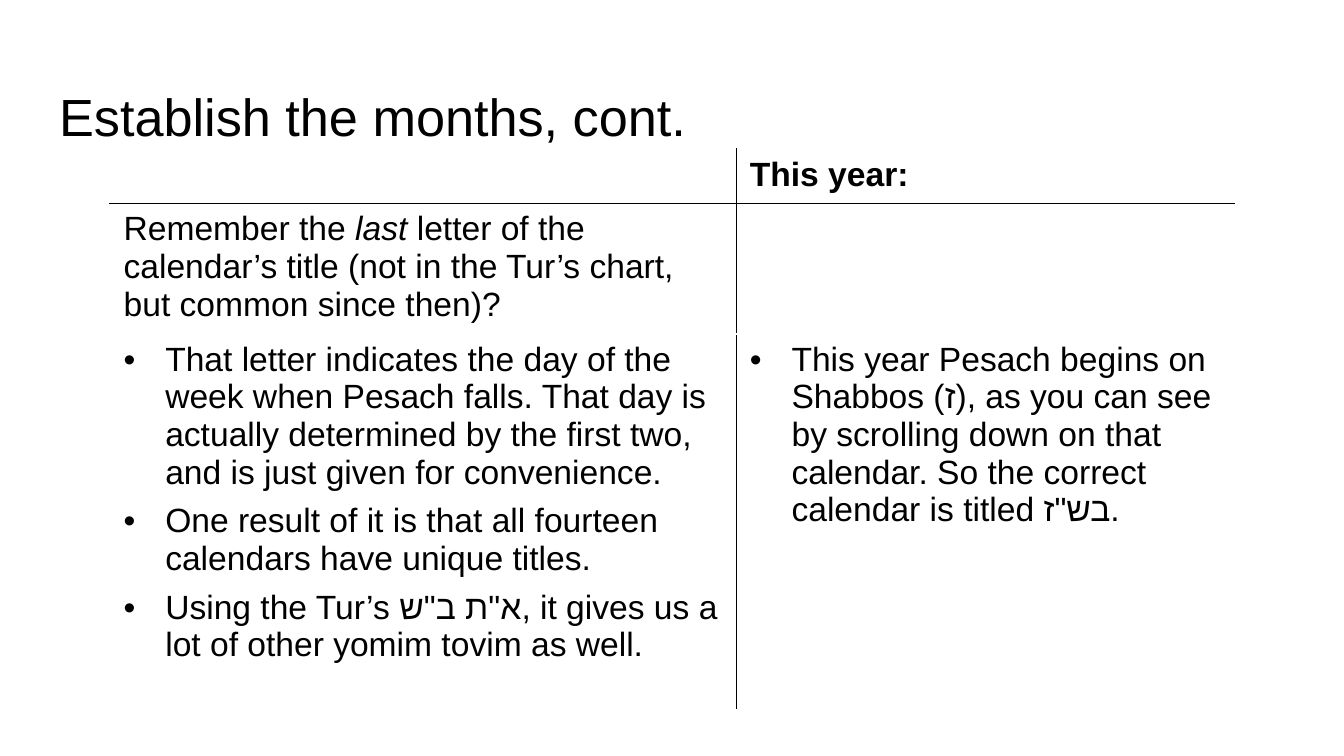
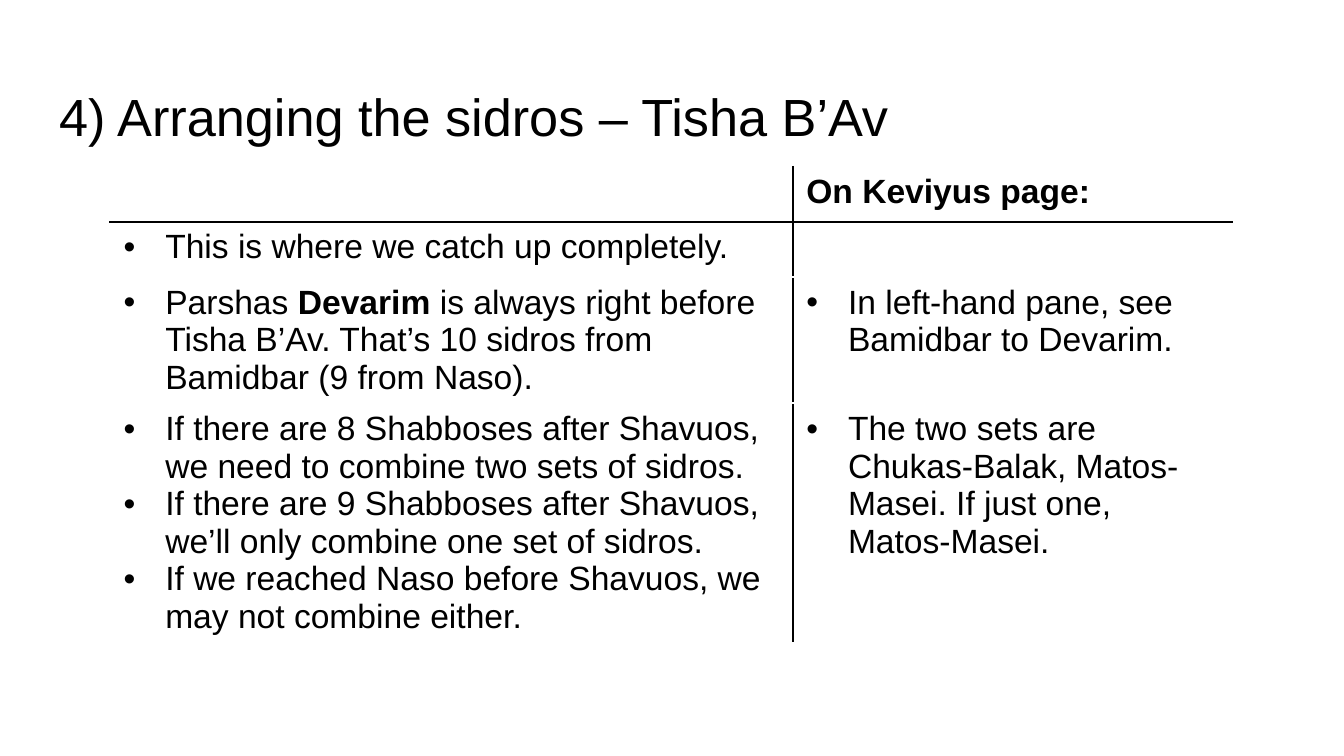
from lxml import etree
from pptx import Presentation
from pptx.dml.color import RGBColor
from pptx.enum import text as t
from pptx.oxml import ns
from pptx.util import Pt

PX = 4572  # EMU in one px, 200 px to the inch
COLORS = {"ink": "000000", "paper": "FFFFFF"}
FONT = "Arial"
TITLE_SIZE, BODY_SIZE = 28, 18
TABLE_LEFT = 164
BULLET_INDENT = 62


def add_span(para, text, size=BODY_SIZE, bold=False, italic=False, color="ink"):
    span = para.add_run()
    span.text = text
    font = span.font
    font.name, font.size, font.bold, font.italic = FONT, Pt(size), bold, italic
    font.color.rgb = RGBColor.from_string(COLORS[color])
    # Hebrew letters take the complex-script font
    add_xml(span._r.get_or_add_rPr(), "a:cs", typeface=FONT)


def add_xml(parent, tag, **attributes):
    child = etree.SubElement(parent, ns.qn(tag))
    for name, value in attributes.items():
        child.set(name, str(value))
    return child


class Deck:
    def __init__(self, width, height):
        self.deck = Presentation()
        self.deck.slide_width, self.deck.slide_height = width * PX, height * PX
        self.page = None

    def add_page(self, title):
        self.page = self.deck.slides.add_slide(self.deck.slide_layouts[5])
        fill = self.page.background.fill
        fill.solid()
        fill.fore_color.rgb = RGBColor.from_string(COLORS["paper"])
        box = self.page.shapes.title
        box.left, box.top, box.width, box.height = (
            n * PX for n in (68, 98, 1864, 126))
        frame = box.text_frame
        frame.word_wrap = True
        frame.auto_size = t.MSO_AUTO_SIZE.NONE
        frame.vertical_anchor = t.MSO_ANCHOR.TOP
        frame.margin_left = frame.margin_right = 20 * PX
        frame.margin_top, frame.margin_bottom = 28 * PX, 10 * PX
        para = frame.paragraphs[0]
        para.alignment = t.PP_ALIGN.LEFT
        add_span(para, title, size=TITLE_SIZE)

    def add_bullet(self, para):
        props = para._p.get_or_add_pPr()
        props.set("marL", str(BULLET_INDENT * PX))
        props.set("indent", str(-BULLET_INDENT * PX))
        add_xml(add_xml(props, "a:buClr"), "a:srgbClr", val=COLORS["ink"])
        add_xml(props, "a:buFont", typeface=FONT)
        add_xml(props, "a:buChar", char="•")

    def fill_cell(self, cell, paragraphs, bold, bullets, gap):
        for index, content in enumerate(paragraphs):
            frame = cell.text_frame
            para = frame.add_paragraph() if index else frame.paragraphs[0]
            if bullets:
                self.add_bullet(para)
            if index:
                para.space_before = Pt(gap)
            spans = [(content, {})] if isinstance(content, str) else content
            for text, style in spans:
                add_span(para, text, **{"bold": bold, **style})

    def set_borders(self, cell, **sides):
        props = cell._tc.get_or_add_tcPr()
        for side in "LRTB":
            if side in sides:
                line = add_xml(props, f"a:ln{side}", w=Pt(1))
                fill = add_xml(line, "a:solidFill")
                add_xml(fill, "a:srgbClr", val=COLORS[sides[side]])

    def add_t_chart(self, top, columns, heights, rows, plain_rows=(), gap=0):
        """Two columns, ruled under the header row and between the columns."""
        table = self.page.shapes.add_table(
            len(rows), len(columns), TABLE_LEFT * PX, top * PX,
            sum(columns) * PX, sum(heights) * PX).table
        table.first_row = table.horz_banding = False
        for column, width in zip(table.columns, columns):
            column.width = width * PX
        for row, height in zip(table.rows, heights):
            row.height = height * PX
        for r, row in enumerate(rows):
            for c, paragraphs in enumerate(row):
                cell = table.cell(r, c)
                self.fill_cell(cell, paragraphs, bold=r == 0,
                               bullets=r > 0 and r not in plain_rows, gap=gap)
                sides = {"L": "ink" if c else "paper", "R": "paper" if c else "ink"}
                if r == 0:
                    sides.update(T="paper", B="ink")
                elif r == 1:
                    sides["T"] = "ink"
                self.set_borders(cell, **sides)
                cell.fill.background()


def main():
    show = Deck(2000, 1125)

    # Last letter of the calendar's title
    show.add_page("Establish the months, cont.")
    show.add_t_chart(222, (932, 740), (78, 194, 560), [
        ([], ["This year:"]),
        ([[("Remember the ", {}), ("last", {"italic": True}),
           (" letter of the calendar’s title (not in the Tur’s chart, "
            "but common since then)?", {})]], []),
        (["That letter indicates the day of the week when Pesach falls. That day is "
          "actually determined by the first two, and is just given for convenience.",
          "One result of it is that all fourteen calendars have unique titles.",
          "Using the Tur’s א\"ת ב\"ש, it gives us a lot of other yomim tovim as well."],
         ["This year Pesach begins on Shabbos (ז), as you can see by scrolling down "
          "on that calendar. So the correct calendar is titled בש\"ז."]),
    ], plain_rows=(1,), gap=6)

    # Sidros before Tisha B'Av
    show.add_page("4) Arranging the sidros – Tisha B’Av")
    show.add_t_chart(248, (1016, 654), (82, 82, 188, 356), [
        ([], ["On Keviyus page:"]),
        (["This is where we catch up completely."], []),
        ([[("Parshas ", {}), ("Devarim", {"bold": True}),
           (" is always right before Tisha B’Av. That’s 10 sidros from Bamidbar "
            "(9 from Naso).", {})]],
         ["In left-hand pane, see Bamidbar to Devarim."]),
        (["If there are 8 Shabboses after Shavuos, we need to combine two sets of sidros.",
          "If there are 9 Shabboses after Shavuos, we’ll only combine one set of sidros.",
          "If we reached Naso before Shavuos, we may not combine either."],
         ["The two sets are Chukas-Balak, Matos-Masei. If just one, Matos-Masei."]),
    ])

    show.deck.save("out.pptx")


if __name__ == "__main__":
    main()
